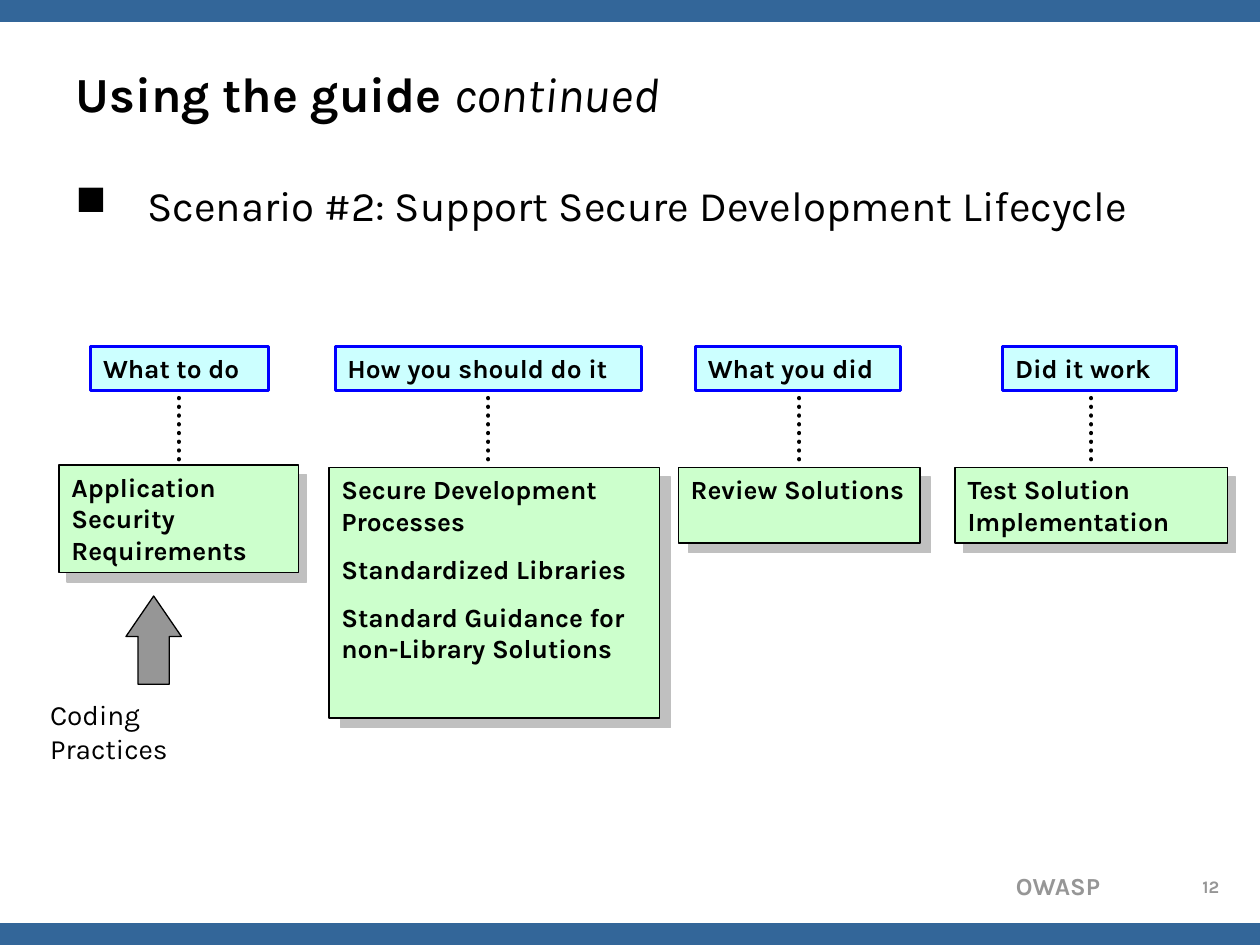
from lxml import etree
from pptx import Presentation
from pptx.dml.color import RGBColor
from pptx.enum.dml import MSO_LINE
from pptx.enum.shapes import MSO_CONNECTOR, MSO_SHAPE
from pptx.enum.text import MSO_ANCHOR, PP_ALIGN
from pptx.oxml.ns import qn
from pptx.util import Pt

RECTANGLE, UP_ARROW = MSO_SHAPE.RECTANGLE, MSO_SHAPE.UP_ARROW
STRAIGHT, DOTTED = MSO_CONNECTOR.STRAIGHT, MSO_LINE.ROUND_DOT
TOP, MIDDLE = MSO_ANCHOR.TOP, MSO_ANCHOR.MIDDLE
LEFT, CENTER, RIGHT = PP_ALIGN.LEFT, PP_ALIGN.CENTER, PP_ALIGN.RIGHT

BLACK = RGBColor(0x00, 0x00, 0x00)
BAND_BLUE = RGBColor(0x33, 0x66, 0x99)
GRAY = RGBColor(0x96, 0x96, 0x96)
SHADOW_GRAY = RGBColor(0xC0, 0xC0, 0xC0)
PALE_GREEN = RGBColor(0xCC, 0xFF, 0xCC)
PALE_CYAN = RGBColor(0xCC, 0xFF, 0xFF)
BLUE = RGBColor(0x00, 0x00, 0xFF)

SLIDE_WIDTH, SLIDE_HEIGHT = 720, 540
BAND_HEIGHT = 12
HEADER_TOP, HEADER_HEIGHT = 198, 25.2
LINE_TOP = 227.5
SHADOW_DROP = 5.5


def add_block(shape_type, left, top, width, height, fill, line=None, weight=0.75):
    block = slide.shapes.add_shape(shape_type, Pt(left), Pt(top), Pt(width), Pt(height))
    block.shadow.inherit = False
    block.fill.solid()
    block.fill.fore_color.rgb = fill
    block.line.color.rgb = line or fill
    block.line.width = Pt(weight)
    return block


def write_text(box, paragraphs, anchor=TOP, align=LEFT, space_before=0, **format_values):
    """Fill a box; each paragraph is a list of (text, run format) pairs."""
    frame = box.text_frame
    frame.word_wrap = True
    frame.vertical_anchor = anchor
    for index, spans in enumerate(paragraphs):
        para = frame.add_paragraph() if index else frame.paragraphs[0]
        para.alignment = align
        para.space_before = Pt(space_before if index else 0)
        for text, span_format in spans:
            span = para.add_run()
            span.text = text
            values = {"name": "Karla", "color": BLACK, **format_values, **span_format}
            span.font.color.rgb = values.pop("color")
            for name, value in values.items():
                setattr(span.font, name, value)


deck = Presentation()
deck.slide_width, deck.slide_height = Pt(SLIDE_WIDTH), Pt(SLIDE_HEIGHT)
slide = deck.slides.add_slide(deck.slide_layouts[5])

for band_top in (0, SLIDE_HEIGHT - BAND_HEIGHT):
    add_block(RECTANGLE, 0, band_top, SLIDE_WIDTH, BAND_HEIGHT, BAND_BLUE)

title = slide.shapes.title
title.left, title.top, title.width, title.height = Pt(36), Pt(21.6), Pt(648), Pt(62.6)
write_text(title, [[("Using the guide ", {"bold": True}),
                    ("continued", {"bold": False, "italic": True})]],
           anchor=MIDDLE, size=Pt(28))

# left, top, width, height, paragraphs, align, format
plain_texts = [
    (36, 102.2, 666, 81.4, "Scenario #2: Support Secure Development Lifecycle", LEFT,
     {"size": Pt(24)}),
    (21.6, 395.3, 132.5, 46, "Coding Practices", LEFT, {"size": Pt(16)}),
    (447.8, 494, 188, 24.5, "OWASP", RIGHT, {"size": Pt(14), "bold": True, "color": GRAY}),
    (676, 496.8, 31.7, 18, "12", CENTER, {"size": Pt(10), "bold": True, "color": GRAY}),
]
text_boxes = []
for left, top, width, height, text, align, format_values in plain_texts:
    box = slide.shapes.add_textbox(Pt(left), Pt(top), Pt(width), Pt(height))
    write_text(box, [[(text, {})]], align=align, **format_values)
    text_boxes.append(box)

scenario = text_boxes[0].text_frame.paragraphs[0]
scenario.line_spacing = 0.9
properties = scenario._p.get_or_add_pPr()
properties.set("marL", str(Pt(41)))
properties.set("indent", str(-Pt(41)))
etree.SubElement(properties, qn("a:buChar")).set("char", "■")

# header text, left, width; box left, top, width, height; shadow shift; box texts
columns = [
    ("What to do", 51.8, 101.5, 33.8, 265.7, 136.8, 61.5, 4.5,
     ["Application Security Requirements"]),
    ("How you should do it", 191.5, 175, 188, 267, 188.8, 143.3, 6.5,
     ["Secure Development Processes", "Standardized Libraries",
      "Standard Guidance for non-Library Solutions"]),
    ("What you did", 397.4, 117.4, 387.6, 267, 138.2, 43.4, 6,
     ["Review Solutions"]),
    ("Did it work", 573, 99.4, 545.8, 267, 155.5, 43.4, 4.8,
     ["Test Solution Implementation"]),
]
for (heading, header_left, header_width, left, top, width, height,
     shadow_shift, texts) in columns:
    add_block(RECTANGLE, left + shadow_shift, top + SHADOW_DROP, width, height, SHADOW_GRAY)
    box = add_block(RECTANGLE, left, top, width, height, PALE_GREEN, BLACK)
    header = add_block(RECTANGLE, header_left, HEADER_TOP, header_width, HEADER_HEIGHT,
                       PALE_CYAN, BLUE, 1.75)
    for target, lines in ((header, [heading]), (box, texts)):
        write_text(target, [[(line, {})] for line in lines],
                   space_before=9.4, size=Pt(15), bold=True)

    header_center, box_center = header_left + header_width / 2, left + width / 2
    centered = abs(header_center - box_center) < 1
    line_x = box_center if centered else header_center
    link = slide.shapes.add_connector(STRAIGHT, Pt(line_x), Pt(LINE_TOP), Pt(line_x), Pt(top))
    if centered:
        link.end_connect(box, 0)
    link.line.color.rgb = BLACK
    link.line.width = Pt(2.5)
    link.line.dash_style = DOTTED
    link.line._get_or_add_ln().set("cap", "rnd")
    etree.SubElement(link._element.spPr, qn("a:effectLst"))

arrow = add_block(UP_ARROW, 72, 340.6, 31.7, 50.4, GRAY, BLACK)
arrow.adjustments[0], arrow.adjustments[1] = 0.56, 0.73

deck.save("out.pptx")
